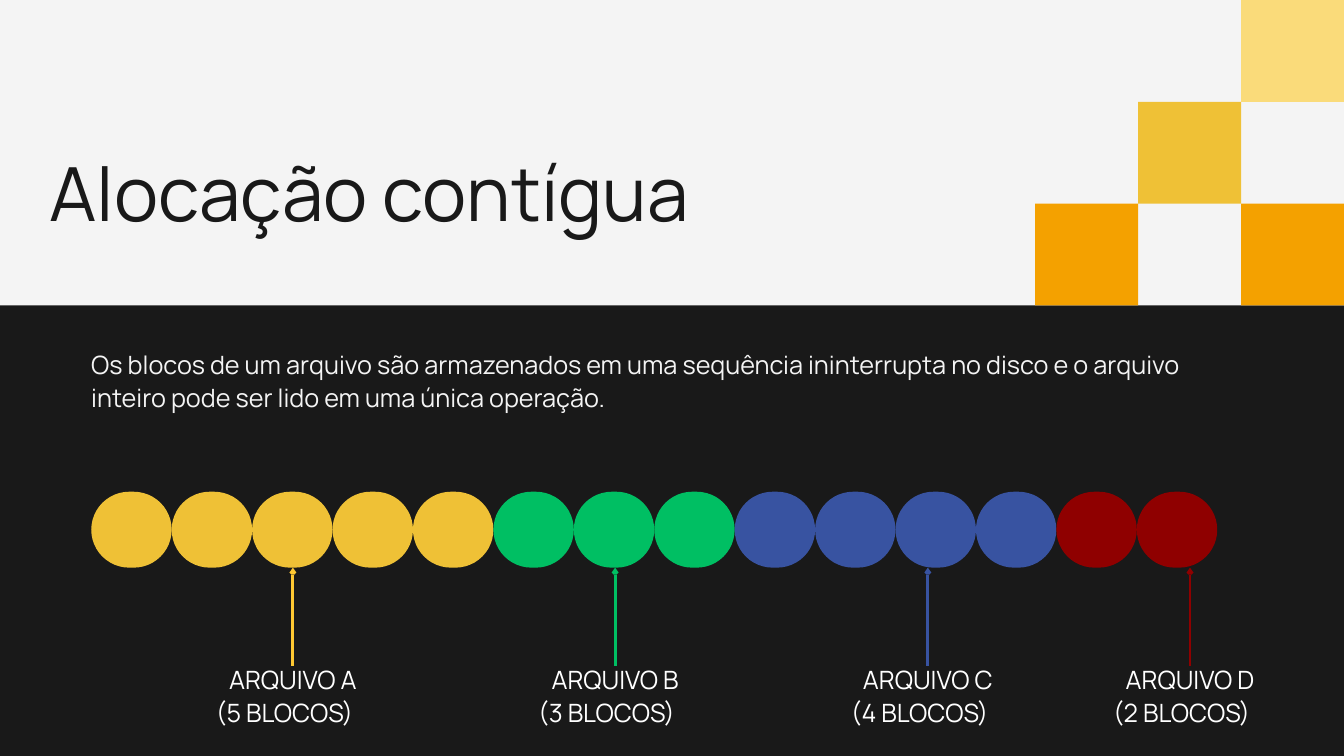
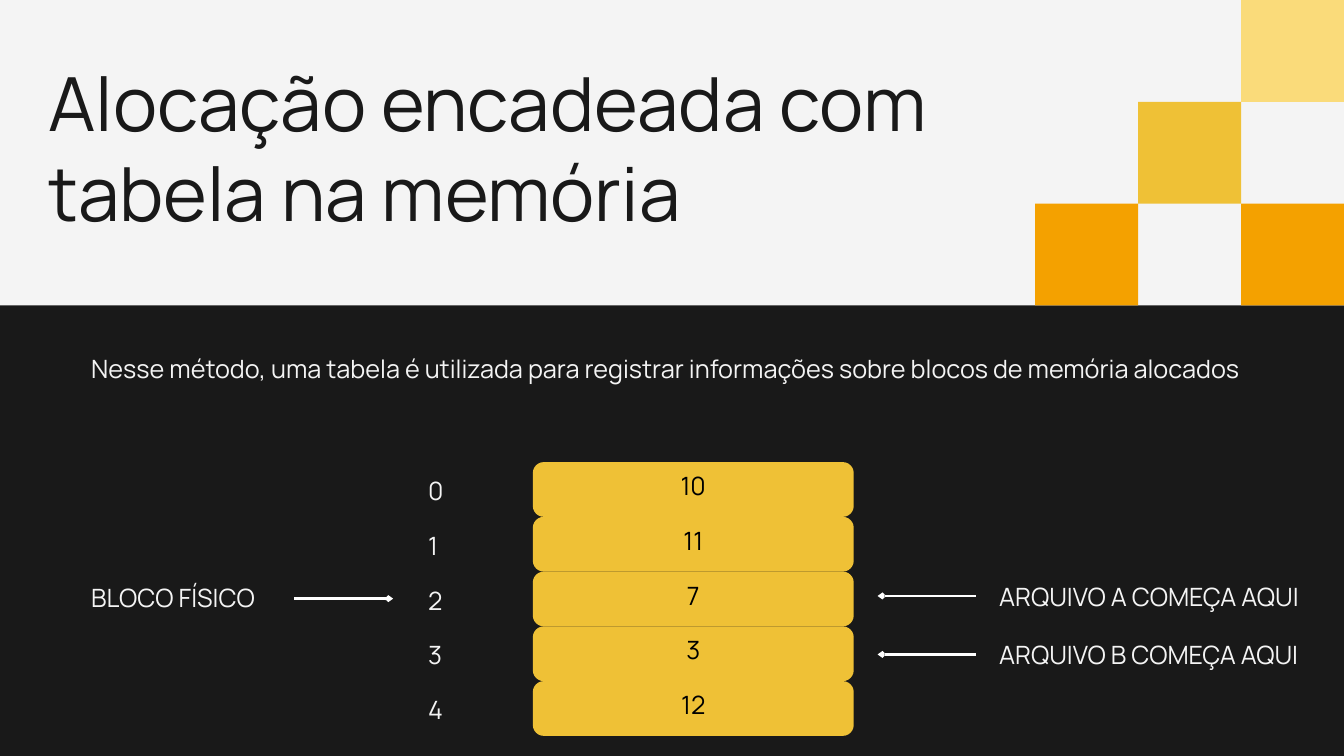
"""Build two slides on contiguous allocation and on linked allocation with a table."""
import dataclasses
import typing

import pptx
import pptx.dml.color
import pptx.enum.shapes
import pptx.enum.text
import pptx.oxml
import pptx.oxml.ns
import pptx.shapes.autoshape
import pptx.slide
import pptx.text.text
import pptx.util

Cm = pptx.util.Cm
SHAPES = pptx.enum.shapes.MSO_SHAPE
ALIGN = pptx.enum.text.PP_ALIGN


@dataclasses.dataclass(frozen=True)
class Theme:
    font: str = "Manrope"
    dark: str = "191919"
    light: str = "F4F4F4"
    white: str = "FFFFFF"
    black: str = "000000"
    pale_yellow: str = "FADB7A"
    yellow: str = "EFC136"
    arrow_yellow: str = "FEC832"
    orange: str = "F4A100"
    green: str = "00BF63"
    blue: str = "3853A1"
    red: str = "8F0000"
    title_size: float = 80
    title_spacing: float = 96
    body_size: float = 27
    body_spacing: float = 35.1
    cell_spacing: float = 37.8
    arrow_width: float = 3


THEME = Theme()
PAGE_WIDTH, PAGE_HEIGHT = 50.8, 28.58
SQUARE_WIDTH, SQUARE_HEIGHT = 3.89, 3.85
BODY_LEFT = 3.45


@dataclasses.dataclass(frozen=True)
class Area:
    left: float
    top: float
    width: float
    height: float


@dataclasses.dataclass(frozen=True)
class TextStyle:
    size: float = THEME.body_size
    spacing: float = THEME.body_spacing
    color: str = THEME.light


@dataclasses.dataclass(frozen=True)
class Square:
    columns_from_right: int
    row: int
    color: str


@dataclasses.dataclass(frozen=True)
class StoredFile:
    name: str
    blocks: int
    color: str
    arrow_color: str
    arrow_x: float


@dataclasses.dataclass(frozen=True)
class Pointer:
    label: str
    label_area: Area
    arrow_start: float
    arrow_end: float
    arrow_y: float


TITLE = TextStyle(THEME.title_size, THEME.title_spacing, THEME.dark)
BODY = TextStyle()
LABEL = TextStyle(color=THEME.white)
CELL = TextStyle(spacing=THEME.cell_spacing, color=THEME.black)

SQUARES = (
    Square(1, 0, THEME.pale_yellow),
    Square(1, 2, THEME.orange),
    Square(2, 1, THEME.yellow),
    Square(3, 2, THEME.orange),
)
FILES = (
    StoredFile("ARQUIVO A", 5, THEME.yellow, THEME.arrow_yellow, 11.07),
    StoredFile("ARQUIVO B", 3, THEME.green, THEME.green, 23.25),
    StoredFile("ARQUIVO C", 4, THEME.blue, THEME.blue, 35.07),
    StoredFile("ARQUIVO D", 2, THEME.red, THEME.red, 44.98),
)
TABLE_VALUES = (10, 11, 7, 3, 12)
POINTERS = (
    Pointer("BLOCO FÍSICO", Area(BODY_LEFT, 21.92, 7.06, 1.27), 11.13, 14.86, 22.63),
    Pointer("ARQUIVO A COMEÇA AQUI", Area(37.77, 21.87, 12.5, 1.27), 36.88, 33.17, 22.53),
    Pointer("ARQUIVO B COMEÇA AQUI", Area(37.77, 24.08, 12.5, 1.27), 36.88, 33.17, 24.74),
)


def rgb(color: str) -> pptx.dml.color.RGBColor:
    return pptx.dml.color.RGBColor.from_string(color)


def place(area: Area) -> tuple[int, int, int, int]:
    return Cm(area.left), Cm(area.top), Cm(area.width), Cm(area.height)


def write(
    frame: pptx.text.text.TextFrame,
    lines: typing.Sequence[str],
    style: TextStyle,
    alignments: typing.Sequence[ALIGN],
) -> None:
    frame.word_wrap = True
    frame.margin_left = frame.margin_right = frame.margin_top = frame.margin_bottom = 0
    frame.vertical_anchor = pptx.enum.text.MSO_ANCHOR.TOP
    frame.text = "\n".join(lines)
    for paragraph, alignment in zip(frame.paragraphs, alignments):
        paragraph.alignment = alignment
        paragraph.line_spacing = pptx.util.Pt(style.spacing)
        paragraph.font.name = THEME.font
        paragraph.font.size = pptx.util.Pt(style.size)
        paragraph.font.color.rgb = rgb(style.color)


def add_text(
    page: pptx.slide.Slide,
    area: Area,
    lines: typing.Sequence[str],
    style: TextStyle = BODY,
    alignments: typing.Sequence[ALIGN] = (ALIGN.LEFT,),
) -> None:
    box = page.shapes.add_textbox(*place(area))
    write(box.text_frame, lines, style, alignments)
    box.text_frame.auto_size = pptx.enum.text.MSO_AUTO_SIZE.SHAPE_TO_FIT_TEXT


def add_block(
    page: pptx.slide.Slide, area: Area, color: str, rounding: float = 0
) -> pptx.shapes.autoshape.Shape:
    preset = SHAPES.ROUNDED_RECTANGLE if rounding else SHAPES.RECTANGLE
    block = page.shapes.add_shape(preset, *place(area))
    if rounding:
        block.adjustments[0] = rounding
    block.shadow.inherit = False
    block.fill.solid()
    block.fill.fore_color.rgb = rgb(color)
    block.line.fill.background()
    return block


def add_arrow(
    page: pptx.slide.Slide,
    start: tuple[float, float],
    end: tuple[float, float],
    color: str,
) -> None:
    arrow = page.shapes.add_connector(
        pptx.enum.shapes.MSO_CONNECTOR.STRAIGHT, *map(Cm, start + end)
    )
    arrow.line.color.rgb = rgb(color)
    arrow.line.width = pptx.util.Pt(THEME.arrow_width)
    namespace = pptx.oxml.ns.nsdecls("a")
    arrow.line._get_or_add_ln().append(
        pptx.oxml.parse_xml(f'<a:tailEnd {namespace} type="arrow" w="sm" len="sm"/>')
    )
    arrow._element.spPr.append(pptx.oxml.parse_xml(f"<a:effectLst {namespace}/>"))


def add_page(
    deck: pptx.presentation.Presentation,
    title: str,
    title_area: Area,
    summary: str,
    summary_top: float,
) -> pptx.slide.Slide:
    page = deck.slides.add_slide(deck.slide_layouts[6])
    page.background.fill.solid()
    page.background.fill.fore_color.rgb = rgb(THEME.dark)
    add_block(page, Area(0, 0, PAGE_WIDTH, 3 * SQUARE_HEIGHT), THEME.light)
    for square in SQUARES:
        left = PAGE_WIDTH - square.columns_from_right * SQUARE_WIDTH
        top = square.row * SQUARE_HEIGHT
        add_block(page, Area(left, top, SQUARE_WIDTH, SQUARE_HEIGHT), square.color)
    add_text(page, title_area, [title], TITLE)
    add_text(page, Area(BODY_LEFT, summary_top, 43.46, 3.71), [summary])
    return page


def add_contiguous_page(deck: pptx.presentation.Presentation) -> None:
    page = add_page(
        deck,
        "Alocação contígua",
        Area(1.88, 5.54, 30.3, 3.63),
        "Os blocos de um arquivo são armazenados em uma sequência ininterrupta "
        "no disco e o arquivo inteiro pode ser lido em uma única operação.",
        13.13,
    )
    block_width, block_height, block_top = 3.04, 2.87, 18.59
    label_width = 5.82
    left = BODY_LEFT
    for file in FILES:
        for _ in range(file.blocks):
            add_block(page, Area(left, block_top, block_width, block_height), file.color, 0.5)
            left += block_width
        add_text(
            page,
            Area(file.arrow_x - label_width / 2, 25.02, label_width, 2.49),
            [file.name, f"({file.blocks} BLOCOS)"],
            LABEL,
            (ALIGN.CENTER, ALIGN.LEFT),
        )
        arrow_end = block_top + block_height
        add_arrow(page, (file.arrow_x, 25.17), (file.arrow_x, arrow_end), file.arrow_color)


def add_linked_page(deck: pptx.presentation.Presentation) -> None:
    page = add_page(
        deck,
        "Alocação encadeada com tabela na memória",
        Area(1.83, 2.16, 36.45, 7.01),
        "Nesse método, uma tabela é utilizada para registrar informações "
        "sobre blocos de memória alocados",
        13.26,
    )
    row_height = 2.07
    for index, value in enumerate(TABLE_VALUES):
        top = 17.47 + index * row_height
        cell = add_block(page, Area(20.14, top, 12.13, row_height), THEME.yellow, 0.2)
        write(cell.text_frame, [str(value)], CELL, (ALIGN.CENTER,))
        add_text(page, Area(16.18, top + 0.41, 0.86, 1.27), [str(index)])
    for pointer in POINTERS:
        add_text(page, pointer.label_area, [pointer.label])
        add_arrow(
            page,
            (pointer.arrow_start, pointer.arrow_y),
            (pointer.arrow_end, pointer.arrow_y),
            THEME.white,
        )


def main() -> None:
    deck = pptx.Presentation()
    deck.slide_width, deck.slide_height = Cm(PAGE_WIDTH), Cm(PAGE_HEIGHT)
    add_contiguous_page(deck)
    add_linked_page(deck)
    deck.save("out.pptx")


if __name__ == "__main__":
    main()
